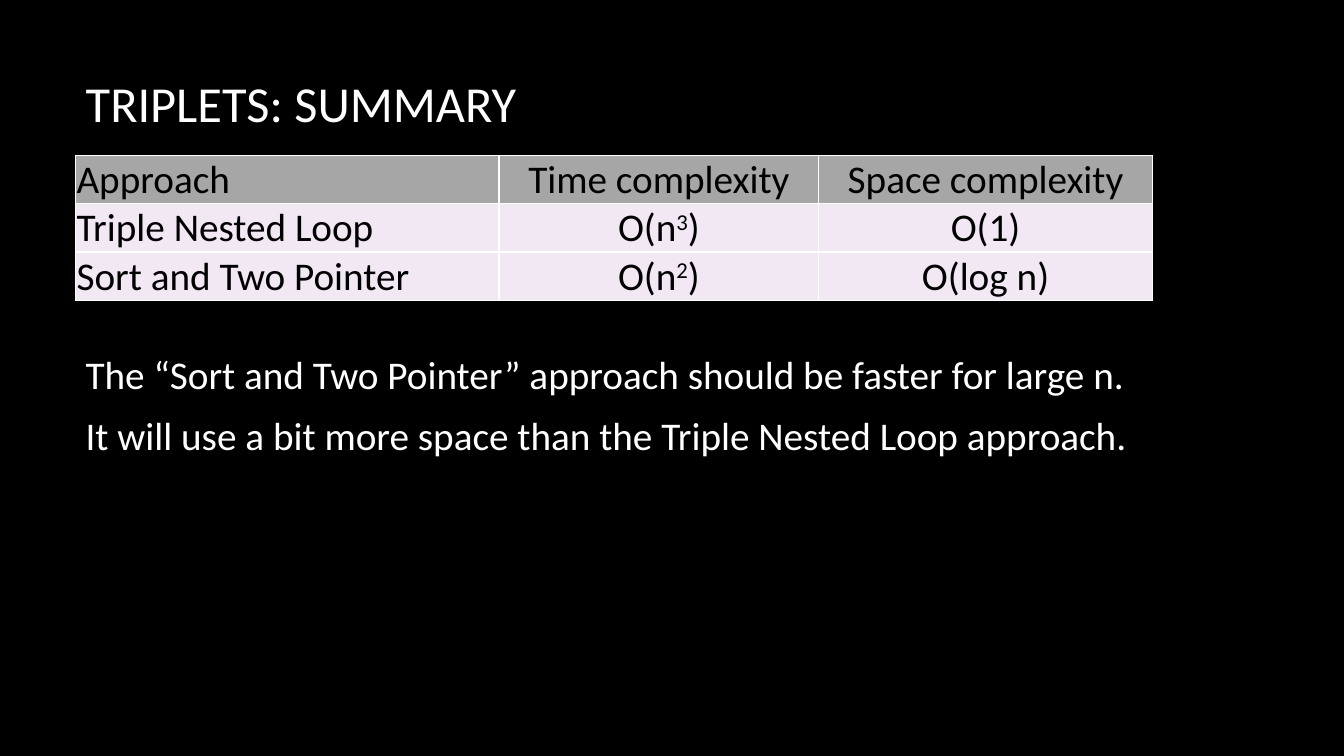
from lxml import etree
from pptx import Presentation
from pptx.dml.color import RGBColor
from pptx.enum import text
from pptx.oxml import ns
from pptx.util import Inches, Pt

BLACK = RGBColor(0x00, 0x00, 0x00)
WHITE = RGBColor(0xFF, 0xFF, 0xFF)
GREY = RGBColor(0xA6, 0xA6, 0xA6)
LILAC = RGBColor(0xF1, 0xE8, 0xF4)

COLUMNS = [4.2, 3.17, 3.31]
ROW_HEIGHT = 0.48
ROWS = [
    ["Approach", "Time complexity", "Space complexity"],
    ["Triple Nested Loop", "O(n^3^)", "O(1)"],
    ["Sort and Two Pointer", "O(n^2^)", "O(log n)"],
]
REMARKS = [
    "The “Sort and Two Pointer” approach should be faster for large n.",
    "It will use a bit more space than the Triple Nested Loop approach.",
]


def write(p, content, size=28, color=WHITE, align=text.PP_ALIGN.LEFT, after=0):
    p.alignment = align
    p.space_before = Pt(0)
    p.space_after = Pt(after)
    for i, part in enumerate(content.split("^")):
        r = p.add_run()
        r.text = part
        r.font.name = "Calibri"
        r.font.size = Pt(size)
        r.font.color.rgb = color
        if i % 2:
            r._r.get_or_add_rPr().set("baseline", "30000")


def add_borders(cell, color, width):
    tc_pr = cell._tc.get_or_add_tcPr()
    for i, side in enumerate(["lnL", "lnR", "lnT", "lnB"]):
        ln = etree.Element(ns.qn(f"a:{side}"), w=str(Pt(width)))
        fill = etree.SubElement(ln, ns.qn("a:solidFill"))
        etree.SubElement(fill, ns.qn("a:srgbClr"), val=str(color))
        tc_pr.insert(i, ln)


def add_title(s, left, top, width, height):
    sp = s.shapes.title
    sp.left, sp.top = Inches(left), Inches(top)
    sp.width, sp.height = Inches(width), Inches(height)
    tf = sp.text_frame
    tf.auto_size = text.MSO_AUTO_SIZE.NONE
    tf.vertical_anchor = text.MSO_ANCHOR.TOP
    write(tf.paragraphs[0], "TRIPLETS: SUMMARY", size=36)


def add_complexity_table(s, left, top):
    frame = s.shapes.add_table(len(ROWS), len(COLUMNS), Inches(left), Inches(top),
                               Inches(sum(COLUMNS)), Inches(ROW_HEIGHT * len(ROWS)))
    table = frame.table
    for column, width in zip(table.columns, COLUMNS):
        column.width = Inches(width)
    for i, row in enumerate(ROWS):
        table.rows[i].height = Inches(ROW_HEIGHT)
        for j, content in enumerate(row):
            cell = table.cell(i, j)
            cell.fill.solid()
            cell.fill.fore_color.rgb = LILAC if i else GREY
            cell.vertical_anchor = text.MSO_ANCHOR.BOTTOM
            cell.margin_left = cell.margin_right = cell.margin_top = Inches(0.01)
            cell.margin_bottom = 0
            add_borders(cell, WHITE, 1)
            align = text.PP_ALIGN.CENTER if j else text.PP_ALIGN.LEFT
            write(cell.text_frame.paragraphs[0], content, color=BLACK, align=align)


def add_remarks(s, left, top, width, height):
    sp = s.shapes.add_textbox(Inches(left), Inches(top), Inches(width), Inches(height))
    tf = sp.text_frame
    tf.word_wrap = True
    for i, remark in enumerate(REMARKS):
        p = tf.add_paragraph() if i else tf.paragraphs[0]
        write(p, remark, after=10)


def main():
    prs = Presentation()
    prs.slide_width, prs.slide_height = Inches(13.33), Inches(7.5)
    s = prs.slides.add_slide(prs.slide_layouts[5])
    s.background.fill.solid()
    s.background.fill.fore_color.rgb = BLACK
    add_title(s, 0.75, 0.67, 11.08, 0.8)
    add_remarks(s, 0.75, 3.43, 11.08, 2.15)
    add_complexity_table(s, 0.75, 1.54)
    prs.save("out.pptx")


if __name__ == "__main__":
    main()
